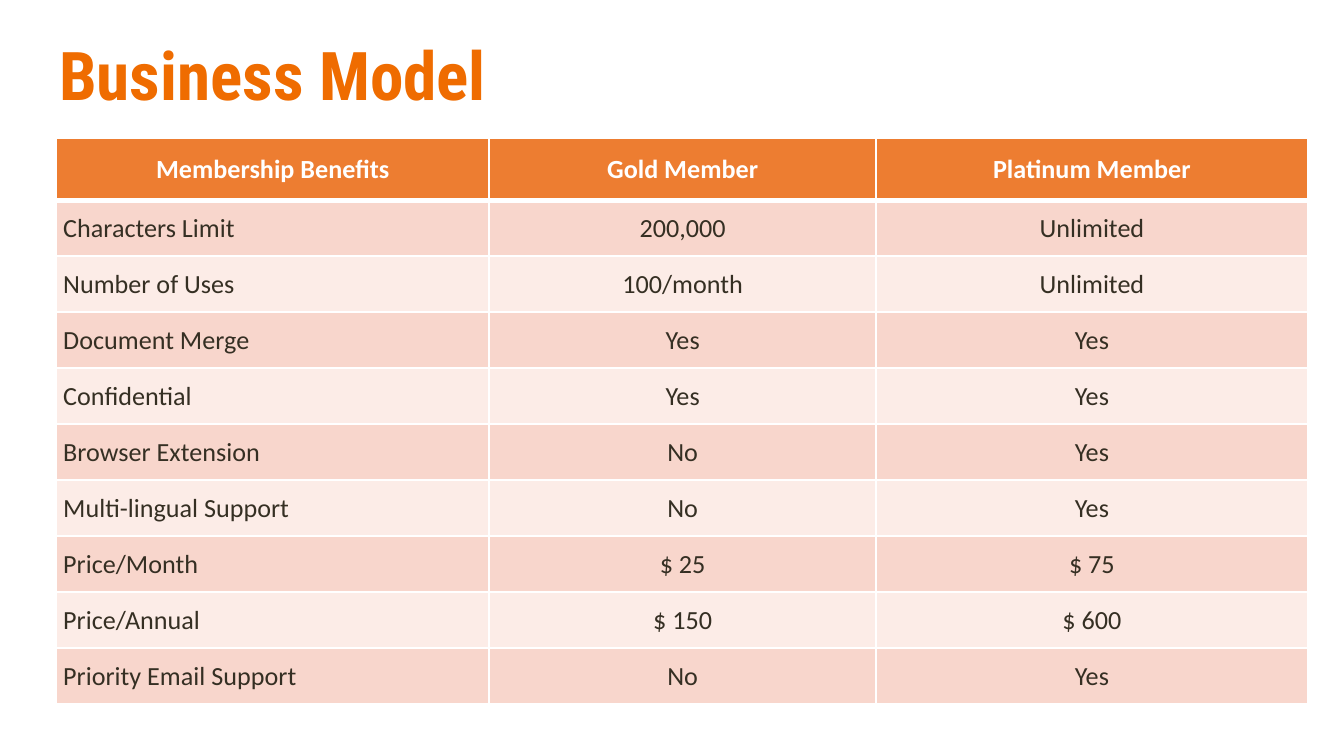
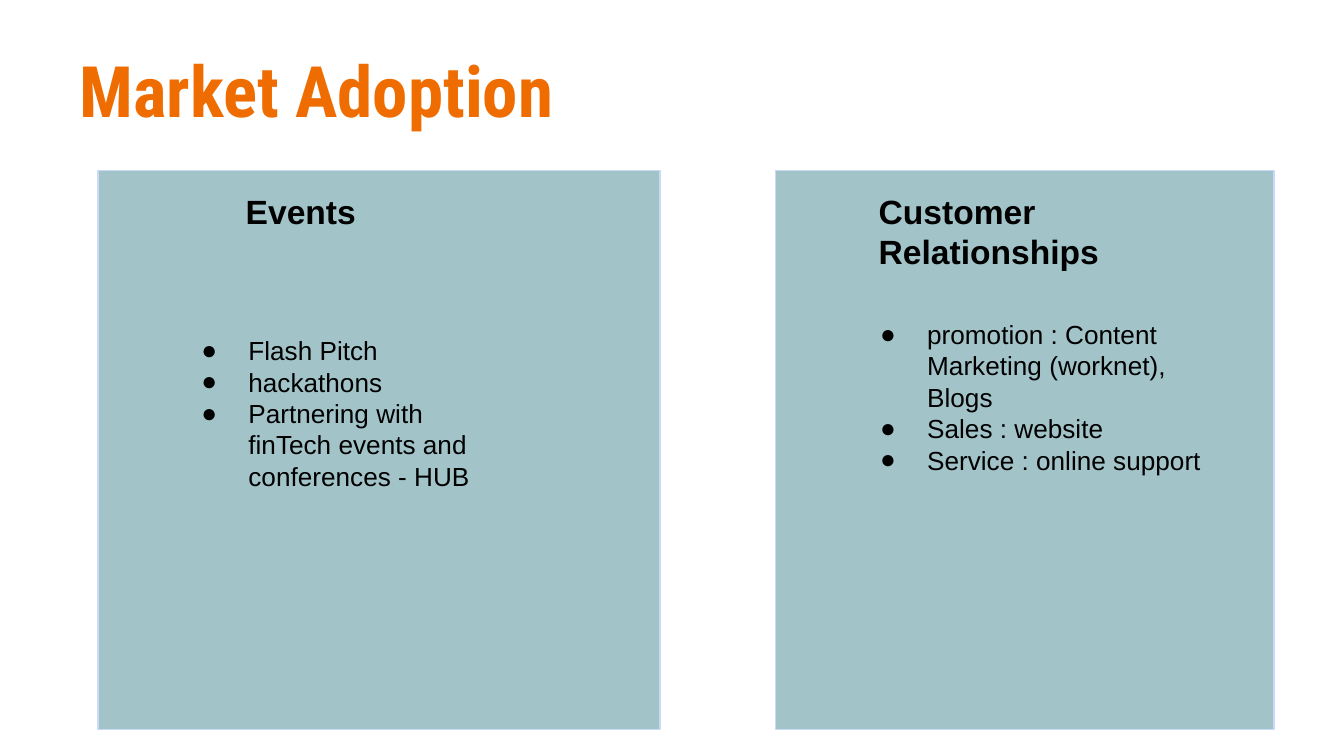
from lxml.etree import SubElement
from pptx import Presentation
from pptx.dml.color import RGBColor
from pptx.enum.shapes import MSO_SHAPE
from pptx.enum.text import MSO_ANCHOR, PP_ALIGN
from pptx.oxml.ns import qn
from pptx.util import Inches, Pt

ORANGE, HEADER = "EF6C00", "ED7D31"
BANDS = ("F8D6CC", "FCECE7")
WHITE, BLACK, BROWN = "FFFFFF", "000000", "352F23"
PANEL, PANEL_LINE = "A2C4C9", "C9DAF8"

TITLE = {"name": "Roboto Condensed", "bold": True}
HEADING = {"name": "Arial", "size": Pt(18), "bold": True}
BODY = {"name": "Arial", "size": Pt(14), "bold": False}
CELL = {"name": "Calibri", "size": Pt(14)}

BENEFITS = [
    ("Membership Benefits", "Gold Member", "Platinum Member"),
    ("Characters Limit", "200,000", "Unlimited"),
    ("Number of Uses", "100/month", "Unlimited"),
    ("Document Merge", "Yes", "Yes"),
    ("Confidential", "Yes", "Yes"),
    ("Browser Extension", "No", "Yes"),
    ("Multi-lingual Support", "No", "Yes"),
    ("Price/Month", "$ 25", "$ 75"),
    ("Price/Annual", "$ 150", "$ 600"),
    ("Priority Email Support", "No", "Yes"),
]


def color(value):
    return RGBColor.from_string(value)


def write(para, text, style, ink):
    span = para.add_run()
    span.text = text
    for name, value in style.items():
        setattr(span.font, name, value)
    span.font.color.rgb = color(ink)


def set_margins(target, margin):
    for side in ("left", "top", "right", "bottom"):
        setattr(target, f"margin_{side}", Inches(margin))


def prepare(frame):
    frame.word_wrap = True
    frame.vertical_anchor = MSO_ANCHOR.TOP
    set_margins(frame, 0.1)


def add_page(deck, text, box, size):
    """Add a title-only page and place its title in the box."""
    page = deck.slides.add_slide(deck.slide_layouts[5])
    title = page.shapes.title
    title.left, title.top, title.width, title.height = map(Inches, box)
    prepare(title.text_frame)
    para = title.text_frame.paragraphs[0]
    para.alignment = PP_ALIGN.LEFT
    write(para, text, {**TITLE, "size": Pt(size)}, ORANGE)
    return page


# Membership table

def set_borders(cell, widths):
    properties = cell._tc.get_or_add_tcPr()
    for side, width in widths.items():
        line = SubElement(properties, qn(f"a:ln{side}"), w=str(Pt(width)))
        fill = SubElement(line, qn("a:solidFill"))
        SubElement(fill, qn("a:srgbClr"), val=WHITE)


def format_cell(cell, text, row, column):
    is_header = row == 0
    set_borders(cell, {"L": 1, "R": 1, "T": 3 if row == 1 else 1, "B": 3 if is_header else 1})
    cell.fill.solid()
    cell.fill.fore_color.rgb = color(HEADER if is_header else BANDS[(row - 1) % 2])
    set_margins(cell, 0.05)
    cell.vertical_anchor = MSO_ANCHOR.MIDDLE
    para = cell.text_frame.paragraphs[0]
    is_label = column == 0 and not is_header
    para.alignment = PP_ALIGN.JUSTIFY if is_label else PP_ALIGN.CENTER
    write(para, text, {**CELL, "bold": is_header}, WHITE if is_header else BROWN)


def add_benefits(page, left, top):
    widths = [Inches(width) for width in (3.22, 2.88, 3.21)]
    row_height = Inches(5) // 12
    heights = [Inches(0.46)] + [row_height] * (len(BENEFITS) - 1)
    table = page.shapes.add_table(
        len(heights), len(widths), Inches(left), Inches(top),
        sum(widths), sum(heights)).table
    for column, width in zip(table.columns, widths):
        column.width = width
    for line, height in zip(table.rows, heights):
        line.height = height
    for row, texts in enumerate(BENEFITS):
        for column, text in enumerate(texts):
            format_cell(table.cell(row, column), text, row, column)


# Market panels

def add_bullet(para):
    properties = para._p.get_or_add_pPr()
    properties.set("marL", str(Inches(0.5)))
    properties.set("indent", str(Inches(-0.35)))
    ink = SubElement(properties, qn("a:buClr"))
    SubElement(ink, qn("a:srgbClr"), val=BLACK)
    SubElement(properties, qn("a:buFont"), typeface="Arial")
    SubElement(properties, qn("a:buChar"), char="●")


def add_text(page, box, lines, style, bulleted=False):
    frame = page.shapes.add_textbox(*map(Inches, box)).text_frame
    prepare(frame)
    for index, text in enumerate(lines):
        para = frame.add_paragraph() if index else frame.paragraphs[0]
        write(para, text, style, BLACK)
        if bulleted:
            add_bullet(para)


def add_panel(page, box, heading, heading_box, points, points_box):
    """Draw a panel; the text boxes are placed relative to its corner."""
    left, top, width, height = box
    panel = page.shapes.add_shape(MSO_SHAPE.RECTANGLE, *map(Inches, box))
    panel.shadow.inherit = False
    panel.fill.solid()
    panel.fill.fore_color.rgb = color(PANEL)
    panel.line.color.rgb = color(PANEL_LINE)
    panel.line.width = Pt(0.75)

    def inside(x, y, w, h):
        return left + x, top + y, w, h

    add_text(page, inside(*heading_box), [heading], HEADING)
    add_text(page, inside(*points_box), points, BODY, bulleted=True)


# Pages

def add_business_model(deck):
    page = add_page(deck, "Business Model", (0.34, 0.15, 9.32, 0.77), 36)
    add_benefits(page, 0.42, 1.03)


def add_market_adoption(deck):
    page = add_page(deck, "Market Adoption", (0.49, 0.25, 6.56, 0.77), 38)
    add_panel(page, (0.73, 1.27, 4.18, 4.16),
              "Events", (1, 0.05, 1.48, 0.67),
              ["Flash Pitch", "hackathons",
               "Partnering with finTech events and conferences - HUB"],
              (0.52, 1.12, 2.46, 1.53))
    add_panel(page, (5.77, 1.27, 3.71, 4.16),
              "Customer Relationships", (0.67, 0.05, 2.84, 0.67),
              ["promotion : Content Marketing (worknet), Blogs",
               "Sales : website", "Service : online support"],
              (0.53, 1, 2.78, 2.17))


def main():
    deck = Presentation()
    # Widescreen, 16 to 9
    deck.slide_width = Inches(10)
    deck.slide_height = deck.slide_width * 9 // 16
    add_business_model(deck)
    add_market_adoption(deck)
    deck.save("out.pptx")


if __name__ == "__main__":
    main()
